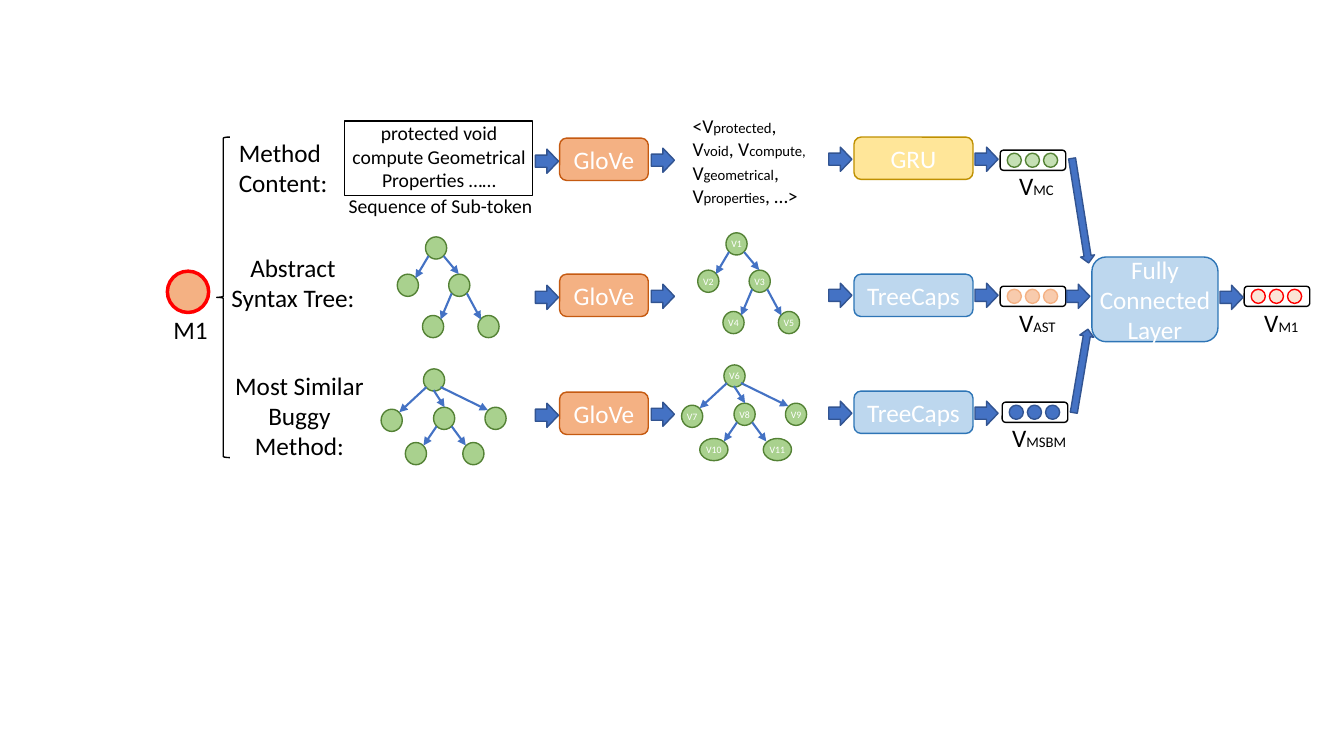
from lxml.etree import SubElement
from pptx import Presentation
from pptx.dml.color import RGBColor
from pptx.enum.shapes import MSO_CONNECTOR, MSO_SHAPE
from pptx.enum.text import MSO_ANCHOR, PP_ALIGN
from pptx.oxml.ns import qn
from pptx.util import Inches, Pt

BLACK, WHITE, RED = "000000", "FFFFFF", "FF0000"
BLUE, DARK_BLUE = "4472C4", "325491"
GREEN, DARK_GREEN = "A9D18E", "548235"
ORANGE, DARK_ORANGE = "F4B183", "C55A11"
PALE_BLUE, MID_BLUE = "BDD7EE", "2E75B6"

prs = Presentation()
prs.slide_width, prs.slide_height = Inches(13.33), Inches(7.5)
slide = prs.slides.add_slide(prs.slide_layouts[6])
shapes = slide.shapes


def draw(kind, x, y, w, h, fill, line, weight=1):
    shape = shapes.add_shape(kind, Inches(x), Inches(y), Inches(w), Inches(h))
    shape.shadow.inherit = False
    if fill:
        shape.fill.solid()
        shape.fill.fore_color.rgb = RGBColor.from_string(fill)
    else:
        shape.fill.background()
    shape.line.color.rgb = RGBColor.from_string(line)
    shape.line.width = Pt(weight)
    return shape


def write(shape, runs, color=BLACK, align=PP_ALIGN.CENTER, inset=None):
    frame = shape.text_frame
    frame.word_wrap = True
    if inset is not None:
        frame.margin_left = frame.margin_right = Inches(inset)
        frame.margin_top = frame.margin_bottom = Inches(inset)
    paragraph = frame.paragraphs[0]
    paragraph.alignment = align
    for text, size in runs:
        run = paragraph.add_run()
        run.text = text
        run.font.size = Pt(size)
        run.font.name = "Calibri"
        run.font.color.rgb = RGBColor.from_string(color)


ast_nodes = [
    (4.22, 7.2, 2.35, "V1"), (3.94, 6.92, 2.72, "V2"), (4.45, 7.43, 2.72, "V3"),
    (4.74, 7.72, 3.13, "V5"), (4.19, 7.17, 3.13, "V4"),
]
ast_edges = [
    (4.25, 2.54, 4.12, 2.76), (4.4, 2.54, 4.55, 2.72),
    (4.63, 2.91, 4.77, 3.17), (4.48, 2.91, 4.37, 3.17),
]
buggy_nodes = [
    (4.2, 7.18, 3.66, "V6"), (3.78, 6.76, 4.06, "V7"), (4.3, 7.28, 4.04, "V8"),
    (4.81, 7.79, 4.04, "V9"), (4.59, 7.57, 4.39, "V11"), (4.02, 6.94, 4.39, "V10"),
]
buggy_edges = [
    (4.23, 3.84, 3.96, 4.09), (4.3, 3.87, 4.41, 4.04), (4.37, 3.84, 4.84, 4.07),
    (4.48, 4.23, 4.62, 4.42), (4.33, 4.23, 4.2, 4.42),
]
for nodes, edges in [(ast_nodes, ast_edges), (buggy_nodes, buggy_edges)]:
    for plain_x, vector_x, y, label in nodes:
        draw(MSO_SHAPE.OVAL, plain_x, y, 0.21, 0.22, GREEN, DARK_GREEN)
        width = 0.28 if len(label) > 2 else 0.21
        vector_node = draw(MSO_SHAPE.OVAL, vector_x, y - 0.04, width, 0.22, GREEN, DARK_GREEN)
        write(vector_node, [(label, 7)], WHITE, inset=0.02)
    for dx, dy in [(0, 0), (2.98, -0.04)]:
        for x1, y1, x2, y2 in edges:
            edge = shapes.add_connector(
                MSO_CONNECTOR.STRAIGHT,
                Inches(x1 + dx), Inches(y1 + dy), Inches(x2 + dx), Inches(y2 + dy))
            edge.line.color.rgb = RGBColor.from_string(BLUE)
            edge.line.width = Pt(1.5)
            SubElement(edge.line._get_or_add_ln(), qn("a:tailEnd"), type="triangle")
            SubElement(edge._element.spPr, qn("a:effectLst"))

draw(MSO_SHAPE.RECTANGLE, 3.42, 1.2, 1.86, 0.74, None, BLACK)
draw(MSO_SHAPE.LEFT_BRACE, 2.15, 1.36, 0.13, 3.18, None, BLACK)
draw(MSO_SHAPE.OVAL, 1.66, 2.69, 0.41, 0.41, ORANGE, RED, 2.5)

token_vectors = [
    ("<V", 14), ("protected", 10.5), (", V", 14), ("void", 10.5),
    (", V", 14), ("compute, ", 10.5), ("V", 14), ("geometrical", 10.5),
    (", V", 14), ("properties", 10.5), (", …>", 14),
]
LEFT, CENTER = PP_ALIGN.LEFT, PP_ALIGN.CENTER
for x, y, w, h, align, runs in [
    (2.27, 1.31, 1.12, 0.71, LEFT, [("Method Content:", 18)]),
    (2.1, 2.45, 1.61, 0.71, CENTER, [("Abstract Syntax Tree:", 18)]),
    (2.2, 3.62, 1.54, 1.01, CENTER, [("Most Similar Buggy Method:", 18)]),
    (3.32, 1.15, 2.07, 0.81, CENTER, [("protected void compute Geometrical Properties ……", 14)]),
    (3.36, 1.87, 2.24, 0.34, LEFT, [("Sequence of Sub-token", 14)]),
    (6.77, 1.08, 1.35, 1.04, LEFT, token_vectors),
    (1.62, 3.07, 0.81, 0.4, LEFT, [("M1", 18)]),
    (10.01, 1.64, 0.81, 0.4, LEFT, [("V", 18), ("MC", 10.5)]),
    (10.01, 3, 0.81, 0.4, LEFT, [("V", 18), ("AST", 10.5)]),
    (9.94, 4.14, 0.81, 0.4, LEFT, [("V", 18), ("MSBM", 10.5)]),
    (12.44, 3, 0.81, 0.4, LEFT, [("V", 18), ("M1", 10.5)]),
]:
    caption = shapes.add_textbox(Inches(x), Inches(y), Inches(w), Inches(h))
    write(caption, runs, align=align)

for x, y, w, h, name, fill, line, inset in [
    (5.55, 1.37, 0.88, 0.42, "GloVe", ORANGE, DARK_ORANGE, None),
    (5.55, 2.72, 0.88, 0.42, "GloVe", ORANGE, DARK_ORANGE, None),
    (5.55, 3.89, 0.88, 0.42, "GloVe", ORANGE, DARK_ORANGE, None),
    (8.47, 1.36, 1.18, 0.42, "GRU", "FFE699", "BF9000", None),
    (8.47, 2.72, 1.18, 0.42, "TreeCaps", PALE_BLUE, MID_BLUE, None),
    (8.47, 3.88, 1.18, 0.42, "TreeCaps", PALE_BLUE, MID_BLUE, None),
    (10.83, 2.55, 1.25, 0.84, "Fully Connected Layer", PALE_BLUE, MID_BLUE, 0.02),
]:
    layer = draw(MSO_SHAPE.ROUNDED_RECTANGLE, x, y, w, h, fill, line)
    layer.text_frame.vertical_anchor = MSO_ANCHOR.MIDDLE
    write(layer, [(name, 18)], WHITE, inset=inset)

for x, y, fill, line in [
    (9.92, 1.49, "C5E0B4", DARK_GREEN), (9.92, 2.84, "F8CBAD", ORANGE),
    (9.94, 3.99, BLUE, DARK_BLUE), (12.34, 2.84, "FBE5D6", RED),
]:
    draw(MSO_SHAPE.ROUNDED_RECTANGLE, x, y, 0.65, 0.2, None, BLACK)
    for i in range(3):
        draw(MSO_SHAPE.OVAL, x + 0.07 + 0.18 * i, y + 0.03, 0.14, 0.14, fill, line)

flow_arrows = [(10.58, 2.82), (12.1, 2.83)]
for x, top in [(5.31, 1.48), (6.46, 1.47), (8.22, 1.46), (9.67, 1.46)]:
    flow_arrows += [(x, top), (x, top + 1.35), (x, top + 2.52)]
for x, y in flow_arrows:
    draw(MSO_SHAPE.RIGHT_ARROW, x, y, 0.23, 0.24, BLUE, DARK_BLUE)
for x, y, length, angle in [(10.19, 2.02, 1.05, 81), (10.3, 3.61, 0.84, 279.6)]:
    merge_arrow = draw(MSO_SHAPE.RIGHT_ARROW, x, y, length, 0.14, BLUE, DARK_BLUE)
    merge_arrow.rotation = angle

prs.save("out.pptx")
